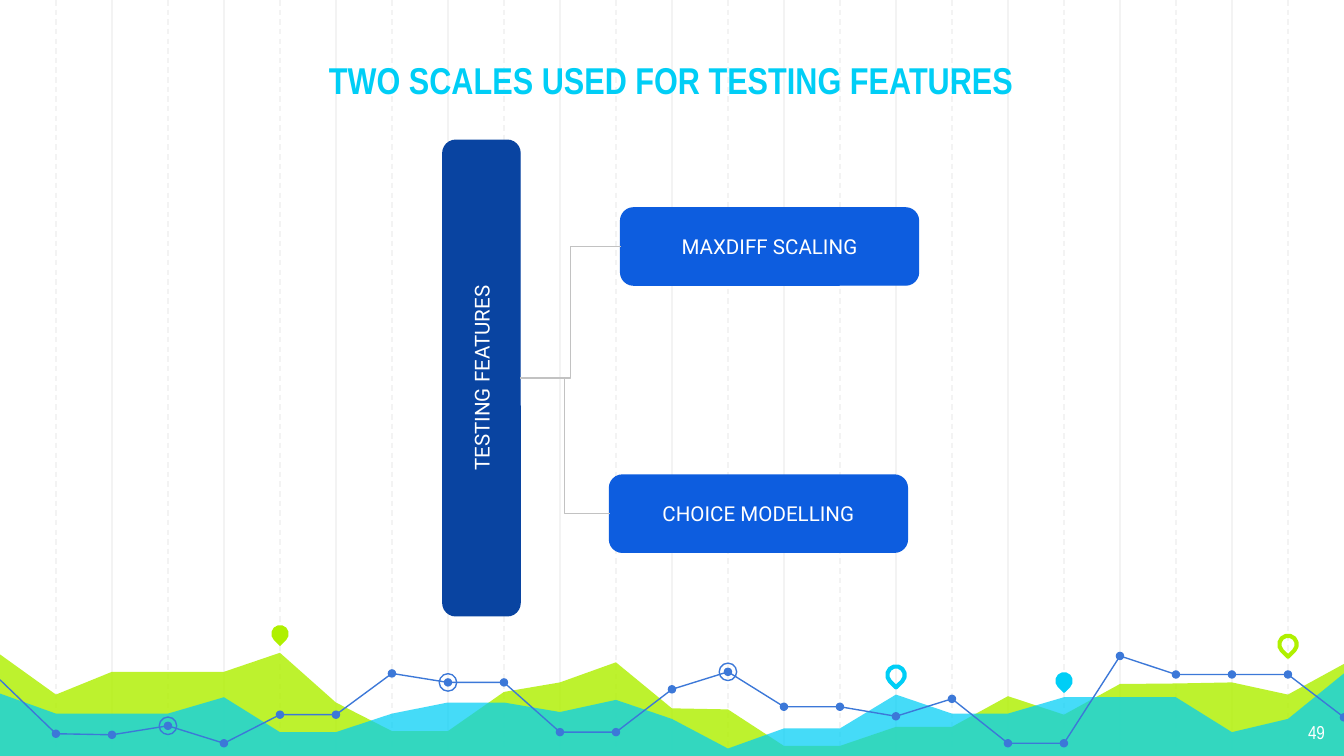
from dataclasses import dataclass

from lxml import etree
from pptx import Presentation
from pptx.dml.color import RGBColor
from pptx.enum.dml import MSO_LINE
from pptx.enum.shapes import MSO_CONNECTOR, MSO_SHAPE
from pptx.enum.text import MSO_ANCHOR, PP_ALIGN
from pptx.oxml.ns import qn
from pptx.util import Cm, Pt

STRAIGHT, ELBOW = MSO_CONNECTOR.STRAIGHT, MSO_CONNECTOR.ELBOW
OVAL, TEARDROP, ROUNDED = MSO_SHAPE.OVAL, MSO_SHAPE.TEAR, MSO_SHAPE.ROUNDED_RECTANGLE
DASH = MSO_LINE.DASH
CENTER, RIGHT = PP_ALIGN.CENTER, PP_ALIGN.RIGHT
TOP, MIDDLE = MSO_ANCHOR.TOP, MSO_ANCHOR.MIDDLE


@dataclass(frozen=True)
class Theme:
    grid: str = "F3F3F3"
    lime: str = "AFF000"
    cyan: str = "00CEF6"
    trend: str = "3C78D8"
    hub: str = "0944A1"
    branch: str = "0D5DDF"
    link: str = "C2C2C2"
    white: str = "FFFFFF"
    head_font: str = "Arial Narrow"
    body_font: str = "Roboto"
    title_size: float = 20
    label_size: float = 11
    number_size: float = 10
    thin: float = 0.75
    thick: float = 2.25


@dataclass(frozen=True)
class Box:
    """A region in centimetres."""
    x: float
    y: float
    w: float
    h: float

    def lengths(self):
        return Cm(self.x), Cm(self.y), Cm(self.w), Cm(self.h)


T = Theme()
COLUMNS = 24
# Heights above the bottom of the landscape, one for each grid column
LIME_HILLS = [1.98, 1.22, 1.65, 1.65, 1.65, 2.01, 1.07, 0.53, 0.53, 1.27, 1.45, 1.83, 0.96,
              0.94, 0.25, 0.25, 0.61, 0.61, 1.19, 0.84, 1.42, 1.43, 1.45, 1.22, 1.8]
CYAN_HILLS = [1.24, 0.86, 0.86, 0.86, 1.17, 0.51, 0.51, 0.86, 1.07, 1.07, 0.89, 1.12, 0.76,
              0.2, 0.58, 0.58, 1.22, 0.86, 0.86, 1.17, 1.17, 1.17, 0.51, 0.76, 1.62]
TREND = [1.5, 0.48, 0.46, 0.63, 0.3, 0.84, 0.84, 1.62, 1.45, 1.45, 0.51, 0.51, 1.32,
         1.65, 0.99, 0.99, 0.81, 1.14, 0.3, 0.3, 1.95, 1.6, 1.6, 1.6, 0.79]
TREND_PARTS = [(0, 11), (11, 20), (20, 24)]
RINGED = [8, 3, 13]
PINS = [(5, 2.37, T.lime, True), (16, 1.59, T.cyan, False),
        (19, 1.48, T.cyan, True), (23, 2.17, T.lime, False)]


def rgb(color):
    return RGBColor.from_string(color)


def paint(sp, fill=None, line=None, width=T.thin, alpha=None):
    sp.shadow.inherit = False
    if fill:
        sp.fill.solid()
        sp.fill.fore_color.rgb = rgb(fill)
    else:
        sp.fill.background()
    if alpha:
        color = sp._element.spPr.find(qn("a:solidFill"))[0]
        etree.SubElement(color, qn("a:alpha")).set("val", str(alpha * 1000))
    if line:
        sp.line.color.rgb = rgb(line)
        sp.line.width = Pt(width)
    else:
        sp.line.fill.background()


def write(sp, text, size, font, color, align=CENTER, anchor=MIDDLE, bold=False):
    tf = sp.text_frame
    tf.word_wrap = True
    tf.vertical_anchor = anchor
    tf.margin_left = tf.margin_right = tf.margin_top = tf.margin_bottom = Cm(0.25)
    p = tf.paragraphs[0]
    p.alignment = align
    r = p.add_run()
    r.text = text
    r.font.size, r.font.name, r.font.bold = Pt(size), font, bold
    r.font.color.rgb = rgb(color)


def add_link(shapes, kind, color, x1, y1, x2, y2):
    cx = shapes.add_connector(kind, Cm(x1), Cm(y1), Cm(x2), Cm(y2))
    cx.line.color.rgb = rgb(color)
    cx.line.width = Pt(T.thin)
    etree.SubElement(cx._element.spPr, qn("a:effectLst"))
    return cx


def add_mark(shapes, kind, x, y, size, **look):
    """Places a small square-framed shape centred on a point."""
    sp = shapes.add_shape(kind, *Box(x - size / 2, y - size / 2, size, size).lengths())
    paint(sp, **look)
    return sp


def add_outline(shapes, points, close, **look):
    points = [(Cm(x), Cm(y)) for x, y in points]
    builder = shapes.build_freeform(*points[0])
    builder.add_line_segments(points[1:], close=close)
    paint(builder.convert_to_shape(), **look)


def add_grid(s, box):
    shapes = s.shapes.add_group_shape().shapes
    for first in (2, 1):
        for i in range(first, COLUMNS, 2):
            x = box.x + i * box.w / COLUMNS
            cx = add_link(shapes, STRAIGHT, T.grid, x, box.y, x, box.y + box.h)
            if first == 1:
                cx.line.dash_style = DASH


def add_landscape(s, box):
    bottom = box.y + box.h

    def at(column, height):
        return box.x + column * box.w / COLUMNS, bottom - height

    for hills, color, alpha in ((LIME_HILLS, T.lime, 82), (CYAN_HILLS, T.cyan, 73)):
        ridge = [at(i, h) for i, h in enumerate(hills)]
        add_outline(s.shapes, ridge + [at(COLUMNS, 0), at(0, 0)], True, fill=color, alpha=alpha)

    lines = s.shapes.add_group_shape().shapes
    for start, end in TREND_PARTS:
        part = [at(i, TREND[i]) for i in range(start, end + 1)]
        add_outline(lines, part, False, line=T.trend)
    dots = s.shapes.add_group_shape().shapes
    for i in range(1, COLUMNS + 1):
        add_mark(dots, OVAL, *at(i, TREND[i]), 0.16, fill=T.trend)
    for i in RINGED:
        add_mark(s.shapes, OVAL, *at(i, TREND[i]), 0.33, line=T.trend)

    for column, height, color, solid in PINS:
        look = {"fill": color} if solid else {"line": color, "width": T.thick}
        pin = add_mark(s.shapes, TEARDROP, *at(column, height), 0.33, **look)
        pin.rotation = 135


def add_title(s, box, text):
    title = s.shapes.title
    title.left, title.top, title.width, title.height = box.lengths()
    write(title, text, T.title_size, T.head_font, T.cyan, bold=True)
    title._element.getparent().append(title._element)


def add_page_number(s, box, number):
    sp = s.shapes.add_textbox(*box.lengths())
    write(sp, number, T.number_size, T.head_font, T.white, align=RIGHT, anchor=TOP)


def add_node(s, box, text, color):
    sp = s.shapes.add_shape(ROUNDED, *box.lengths())
    paint(sp, fill=color, line=color)
    write(sp, text, T.label_size, T.body_font, T.white)
    return sp


def add_tree(s, box, root, branches):
    """Draws an upright root bar; branches hold text and offsets from the box."""
    thick, length = 1.46, 5.63
    mid_y = box.y + box.h / 2
    bar = Box(box.x + thick / 2 - box.h / 2, mid_y - thick / 2, box.h, thick)
    hub = add_node(s, bar, root, T.hub)
    hub.rotation = 270
    start_x = box.x + thick
    for text, dx, dy in branches:
        x, y = box.x + dx, box.y + dy
        node = add_node(s, Box(x, y, length, thick), text, T.branch)
        cx = add_link(s.shapes, ELBOW, T.link, start_x, mid_y, x, y + thick / 2)
        cx.begin_connect(hub, 2)
        cx.end_connect(node, 1)
        # The bar is turned, so its joined side lies at the right
        cx.begin_x, cx.begin_y = Cm(start_x), Cm(mid_y)


def main():
    prs = Presentation()
    prs.slide_width, prs.slide_height = Cm(25.4), Cm(14.29)
    s = prs.slides.add_slide(prs.slide_layouts[5])
    add_grid(s, Box(0, 0, 25.4, 14.35))
    add_landscape(s, Box(0, 11.8, 25.4, 2.55))
    add_title(s, Box(2.97, 0.2, 19.43, 2.62), "TWO SCALES USED FOR TESTING FEATURES")
    add_page_number(s, Box(23.77, 13.41, 1.52, 0.89), "49")
    add_tree(s, Box(8.37, 2.65, 8.99, 8.99), "TESTING FEATURES",
             [("MAXDIFF SCALING", 3.36, 1.28), ("CHOICE MODELLING", 3.15, 6.33)])
    prs.save("out.pptx")


if __name__ == "__main__":
    main()
